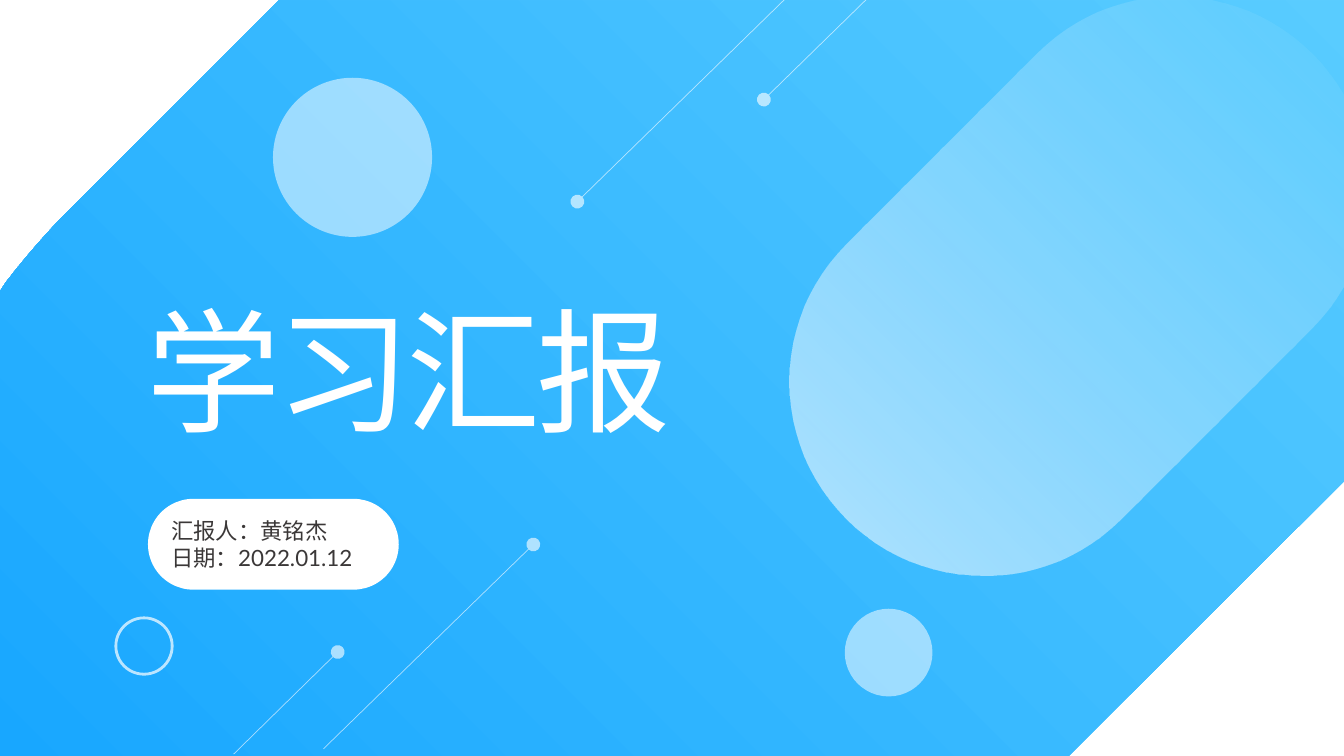
"""Build the blue cover slide of a study report."""
import math

import lxml.etree
import pptx
import pptx.dml.color
import pptx.enum.shapes
import pptx.enum.text
import pptx.oxml.ns
import pptx.util

THEME = {
    "white": "FFFFFF", "ink": "3B3838", "sky": "71DAFF", "blue": "0099FF",
    "title_font": "Arial", "label_font": "Lato",
    "title_size": 96, "label_size": 16, "title_spacing": -300,
    "disc_alpha": 52, "ring_alpha": 70, "line_alpha": 62, "pill_alpha": 62,
    "ring_width": 2, "line_width": 0.5, "tilt": 315,
}
SLIDE_SIZE = (33.87, 19.05)
BAND_CENTER = (16.95, 9.55)
BAND_CORNERS = [(7.04, 0), (33.87, 0), (33.87, 12.12), (26.92, 19.05), (0, 19.05), (0, 7.34)]
BAND_CURVE = [(0.15, 7.11), (0.58, 6.55), (1.04, 6.02), (1.52, 5.51)]
CURVE_STEPS = 8
PILL = (18.9, 2.31, 16.59, 9.8)
DISCS = [(6.88, 1.96, 4.01), (21.29, 15.34, 2.21)]
RING = (2.92, 15.57, 1.42)
TITLE = ("学习汇报", (1.37, 7.14, 17.86, 4.37))
LABEL = (["汇报人：黄铭杰", "日期：2022.01.12"], (3.73, 12.57, 6.32, 2.29))
DOTTED_LINES = [
    ((19.81, -0.05), (14.55, 5.08)),
    ((21.87, -0.05), (19.25, 2.51)),
    ((8.15, 18.87), (13.44, 13.72)),
    ((5.89, 19), (8.51, 16.43)),
]

SHAPES = pptx.enum.shapes.MSO_SHAPE
qn = pptx.oxml.ns.qn


def lengths(values):
    return [pptx.util.Cm(value) for value in values]


def rgb(name):
    return pptx.dml.color.RGBColor.from_string(THEME[name])


def apply(target, values):
    for name, value in values.items():
        setattr(target, name, value)


def set_alpha(element, percent):
    color = next(element.iter(qn("a:srgbClr")))
    lxml.etree.SubElement(color, qn("a:alpha"), val=str(percent * 1000))


def paint(fill, color, alpha=100):
    fill.solid()
    fill.fore_color.rgb = rgb(color)
    return alpha


def paint_gradient(shape, stops):
    shape.fill.gradient()
    shape.fill.gradient_angle = 180
    elements = shape.element.spPr.iter(qn("a:gs"))
    for stop, element, (position, color, alpha) in zip(shape.fill.gradient_stops, elements, stops):
        apply(stop, {"position": position})
        stop.color.rgb = rgb(color)
        set_alpha(element, alpha)


def add_shape(slide, kind, box):
    shape = slide.shapes.add_shape(kind, *lengths(box))
    shape.shadow.inherit = False
    shape.line.fill.background()
    return shape


def add_pill(slide, box):
    shape = add_shape(slide, SHAPES.ROUNDED_RECTANGLE, box)
    shape.adjustments[0] = 0.5
    return shape


def curve_point(t):
    weights = [math.comb(3, i) * t ** i * (1 - t) ** (3 - i) for i in range(4)]
    return tuple(sum(w * point[axis] for w, point in zip(weights, BAND_CURVE)) for axis in (0, 1))


def turn_back(point):
    angle = math.radians(360 - THEME["tilt"])
    dx, dy = point[0] - BAND_CENTER[0], point[1] - BAND_CENTER[1]
    return lengths((BAND_CENTER[0] + dx * math.cos(angle) - dy * math.sin(angle),
                    BAND_CENTER[1] + dx * math.sin(angle) + dy * math.cos(angle)))


def add_band(slide):
    curve = [curve_point(step / CURVE_STEPS) for step in range(CURVE_STEPS + 1)]
    points = [turn_back(point) for point in BAND_CORNERS + curve]
    builder = slide.shapes.build_freeform(*points[0])
    builder.add_line_segments(points[1:], close=True)
    band = builder.convert_to_shape()
    band.shadow.inherit = False
    band.line.fill.background()
    band.rotation = THEME["tilt"]
    paint_gradient(band, [(0, "sky", 100), (1, "blue", 100)])


def add_circles(slide):
    for left, top, size in DISCS:
        disc = add_shape(slide, SHAPES.OVAL, (left, top, size, size))
        paint(disc.fill, "white")
        set_alpha(disc.element.spPr, THEME["disc_alpha"])
    left, top, size = RING
    ring = add_shape(slide, SHAPES.OVAL, (left, top, size, size))
    ring.fill.background()
    paint(ring.line.fill, "white")
    ring.line.width = pptx.util.Pt(THEME["ring_width"])
    set_alpha(ring.element.spPr, THEME["ring_alpha"])


def write(shape, lines, style, color, alignment):
    frame = shape.text_frame
    frame.word_wrap = True
    for index, line in enumerate(lines):
        paragraph = frame.paragraphs[0] if index == 0 else frame.add_paragraph()
        paragraph.alignment = alignment
        run = paragraph.add_run()
        run.text = line
        values = {"name": THEME[style + "_font"], "size": pptx.util.Pt(THEME[style + "_size"])}
        apply(run.font, values)
        run.font.color.rgb = rgb(color)
        properties = run.font._element
        lxml.etree.SubElement(properties, qn("a:ea"), typeface=THEME[style + "_font"])
        if style == "title":
            properties.set("spc", str(THEME["title_spacing"]))


def add_texts(slide):
    text, box = TITLE
    title = slide.shapes.add_textbox(*lengths(box))
    write(title, [text], "title", "white", pptx.enum.text.PP_ALIGN.CENTER)
    lines, box = LABEL
    label = add_pill(slide, box)
    paint(label.fill, "white")
    label.text_frame.vertical_anchor = pptx.enum.text.MSO_ANCHOR.MIDDLE
    write(label, lines, "label", "ink", pptx.enum.text.PP_ALIGN.LEFT)


def add_dotted_lines(slide):
    for start, dot in DOTTED_LINES:
        connector = slide.shapes.add_connector(
            pptx.enum.shapes.MSO_CONNECTOR.STRAIGHT, *lengths(start + dot))
        paint(connector.line.fill, "white")
        connector.line.width = pptx.util.Pt(THEME["line_width"])
        properties = connector._element.spPr
        set_alpha(properties, THEME["line_alpha"])
        lxml.etree.SubElement(properties.find(qn("a:ln")), qn("a:tailEnd"),
                              type="oval", w="lg", len="lg")
        lxml.etree.SubElement(properties, qn("a:effectLst"))


def main():
    presentation = pptx.Presentation()
    width, height = lengths(SLIDE_SIZE)
    apply(presentation, {"slide_width": width, "slide_height": height})
    slide = presentation.slides.add_slide(presentation.slide_layouts[6])
    add_band(slide)
    pill = add_pill(slide, PILL)
    pill.rotation = THEME["tilt"]
    paint_gradient(pill, [(0, "white", 0), (1, "white", THEME["pill_alpha"])])
    add_circles(slide)
    add_texts(slide)
    add_dotted_lines(slide)
    presentation.save("out.pptx")


if __name__ == "__main__":
    main()
